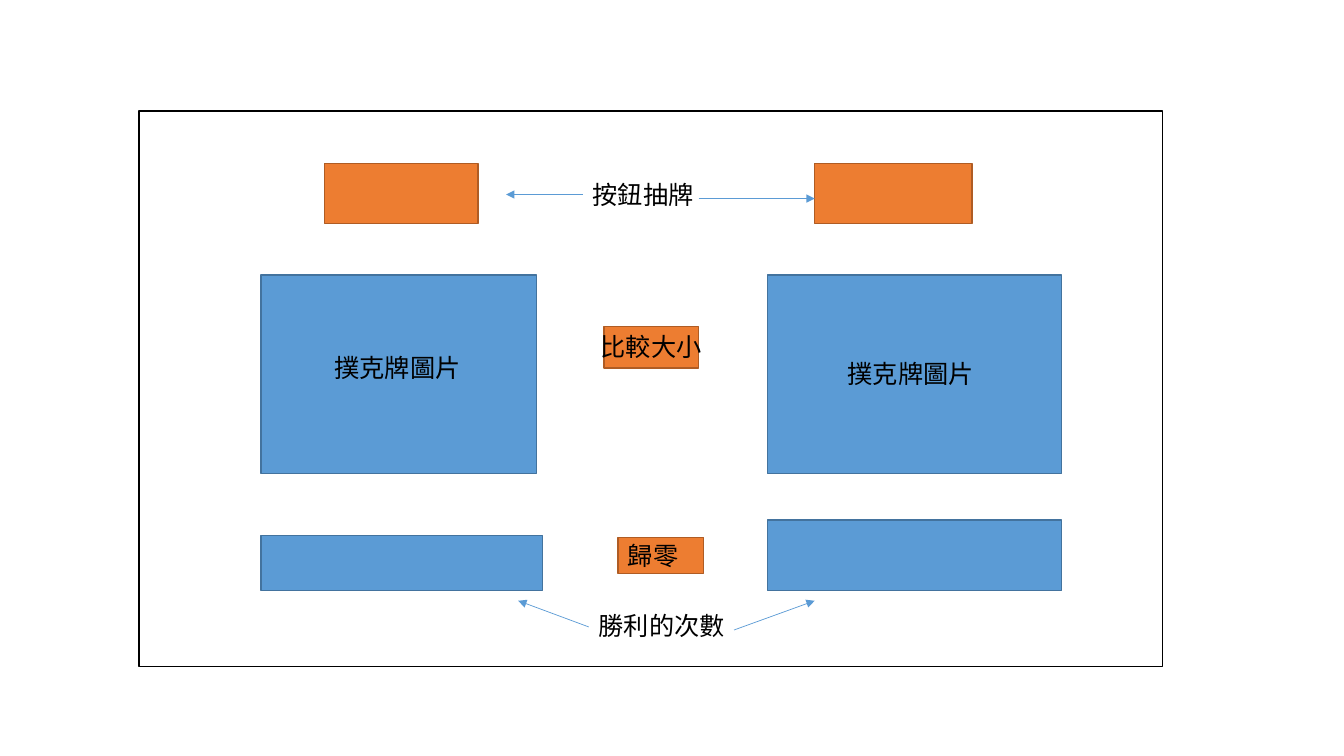
from lxml import etree
from pptx import Presentation
from pptx.dml.color import RGBColor
from pptx.enum.shapes import MSO_CONNECTOR, MSO_SHAPE
from pptx.enum.text import MSO_AUTO_SIZE
from pptx.oxml.ns import qn
from pptx.util import Inches, Pt

RECTANGLE = MSO_SHAPE.RECTANGLE
STRAIGHT = MSO_CONNECTOR.STRAIGHT
GROW = MSO_AUTO_SIZE.SHAPE_TO_FIT_TEXT

BLACK = RGBColor(0x00, 0x00, 0x00)
WHITE = RGBColor(0xFF, 0xFF, 0xFF)
ORANGE = RGBColor(0xED, 0x7D, 0x31)
DARK_ORANGE = RGBColor(0xAF, 0x5C, 0x24)
BLUE = RGBColor(0x5B, 0x9B, 0xD5)
DARK_BLUE = RGBColor(0x43, 0x73, 0x9E)

FRAME = (WHITE, BLACK)
BUTTON = (ORANGE, DARK_ORANGE)
PANEL = (BLUE, DARK_BLUE)

CELL = Inches(0.1)
LEFT_COLUMN = 25.9
RIGHT_COLUMN = 76.1
RIGHT_WIDTH = 29.2
BUTTON_ROW = 16.2
CARD_ROW = 27.3
COMPARE_ROW = 32.4
SCORE_ROW = 53.1
ARROW_ROW = 59.6
RIGHT_TARGET = 80.8


def grid(*cells):
    return [round(cell * CELL) for cell in cells]


def add_box(page, style, column, row, columns, rows):
    box = page.shapes.add_shape(RECTANGLE, *grid(column, row, columns, rows))
    box.shadow.inherit = False
    fill, outline = style
    box.fill.solid()
    box.fill.fore_color.rgb = fill
    box.line.color.rgb = outline
    box.line.width = Pt(1)


def add_label(page, text, column, row, columns, rows=4, size=18, font="Calibri", color=BLACK):
    box = page.shapes.add_textbox(*grid(column, row, columns, rows))
    frame = box.text_frame
    frame.word_wrap = True
    frame.auto_size = GROW
    span = frame.paragraphs[0].add_run()
    span.text = text
    span.font.size = Pt(size)
    span.font.name = font
    span.font.color.rgb = color


def add_arrow(page, start, end):
    arrow = page.shapes.add_connector(STRAIGHT, *grid(*start, *end))
    arrow.line.color.rgb = BLUE
    arrow.line.width = Pt(0.5)
    etree.SubElement(arrow.line._get_or_add_ln(), qn("a:tailEnd"), type="triangle")
    etree.SubElement(arrow._element.spPr, qn("a:effectLst"))


def main():
    deck = Presentation()
    deck.slide_width = Inches(13.33)
    deck.slide_height = Inches(7.5)
    page = deck.slides.add_slide(deck.slide_layouts[6])

    add_box(page, FRAME, 13.8, 11, 101.5, 55.1)
    for column, columns in ((32.2, 15.2), (RIGHT_TARGET, 15.6)):
        add_box(page, BUTTON, column, BUTTON_ROW, columns, 6)
    for column, columns in ((LEFT_COLUMN, 27.3), (RIGHT_COLUMN, RIGHT_WIDTH)):
        add_box(page, PANEL, column, CARD_ROW, columns, 19.7)
    add_box(page, BUTTON, 59.9, COMPARE_ROW, 9.4, 4.1)
    add_box(page, PANEL, LEFT_COLUMN, SCORE_ROW, 27.9, 5.5)
    add_box(page, BUTTON, 61.3, 53.3, 8.5, 3.6)
    add_box(page, PANEL, RIGHT_COLUMN, 51.6, RIGHT_WIDTH, 7)

    for column, row in ((32.2, 34.5), (83.1, 35.1)):
        add_label(page, "撲克牌圖片", column, row, 15.3)
    add_label(page, "按鈕抽牌", 57.8, 17.3, 17.6)
    add_label(page, "比較大小", 58.6, COMPARE_ROW, 14.2)
    add_label(page, "歸零", 61.3, SCORE_ROW, 9.2)
    add_label(page, "勝利的次數", 58.4, 60.1, 16.5)

    add_arrow(page, (69.3, 19.7), (RIGHT_TARGET, 19.7))
    add_arrow(page, (57.8, 19.3), (50.2, 19.3))
    add_arrow(page, (72.8, 62.5), (RIGHT_TARGET, ARROW_ROW))
    add_arrow(page, (58.4, 62.2), (51.4, ARROW_ROW))

    deck.save("out.pptx")


if __name__ == "__main__":
    main()
